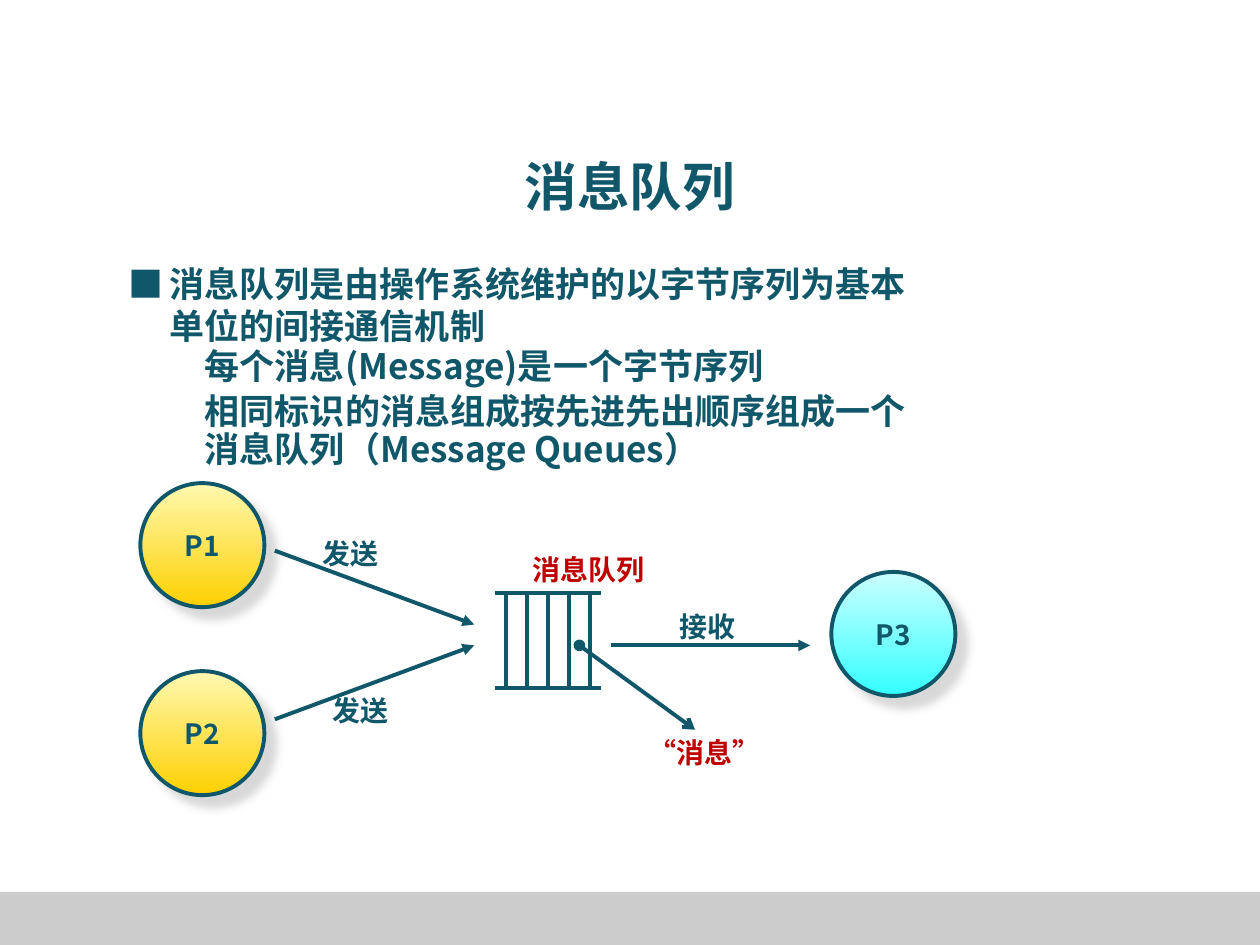
from lxml import etree
from pptx import Presentation
from pptx.dml.color import RGBColor
from pptx.enum.shapes import MSO_CONNECTOR, MSO_SHAPE
from pptx.enum.text import MSO_ANCHOR as ANCHOR, PP_ALIGN as ALIGN
from pptx.oxml import parse_xml
from pptx.oxml.ns import nsdecls, qn
from pptx.util import Cm, Pt

FONT = "Noto Sans CJK SC"
TEAL, RED, GREY = "11576A", "C00000", "CCCCCC"
YELLOW, CYAN = ("FFF9B1", "FDD000"), ("CCFFFF", "33FFFF")


def rgb(value):
    return RGBColor.from_string(value)


def set_format(obj, values):
    for name, value in values.items():
        setattr(obj, name, value)


def write(sp, text, size, color=TEAL, font=FONT, frame=None, para=None):
    """Put one formatted paragraph into a shape."""
    tf = sp.text_frame
    set_format(tf, {"word_wrap": True, **(frame or {})})
    p = tf.paragraphs[0]
    set_format(p, para or {})
    r = p.add_run()
    r.text = text
    set_format(r.font, {"size": Pt(size), "bold": True, "name": font})
    r.font.color.rgb = rgb(color)
    ea = etree.SubElement(r.font._element, qn("a:ea"))
    ea.set("typeface", font)


def add_text(slide, box, text, size, **fmt):
    write(slide.shapes.add_textbox(*map(Cm, box)), text, size, **fmt)


def add_label(slide, x, y, w, text, color=TEAL):
    add_text(slide, (x, y, w, 0.94), text, 16, color=color,
             frame={"word_wrap": False}, para={"alignment": ALIGN.RIGHT})


def add_line(slide, x1, y1, x2, y2, head=None, tail=None):
    c = slide.shapes.add_connector(MSO_CONNECTOR.STRAIGHT, *map(Cm, (x1, y1, x2, y2)))
    c.line.color.rgb = rgb(TEAL)
    c.line.width = Pt(2.25)
    ln = c.line._get_or_add_ln()
    for tag, kind in (("a:headEnd", head), ("a:tailEnd", tail)):
        if kind:
            etree.SubElement(ln, qn(tag)).set("type", kind)
    etree.SubElement(c._element.spPr, qn("a:effectLst"))


def add_process(slide, x, y, name, colors):
    """Circle with a vertical gradient and a soft shadow."""
    sp = slide.shapes.add_shape(MSO_SHAPE.OVAL, Cm(x), Cm(y), Cm(2.5), Cm(2.5))
    sp.fill.gradient()
    sp.fill.gradient_angle = 270
    for stop, color in zip(sp.fill.gradient_stops, colors):
        stop.color.rgb = rgb(color)
    sp.line.color.rgb = rgb(TEAL)
    sp.line.width = Pt(2.25)
    sp._element.spPr.append(parse_xml(
        f'<a:effectLst {nsdecls("a")}><a:outerShdw blurRad="{Pt(5)}" dist="{Pt(8.5)}" '
        f'dir="2700000"><a:srgbClr val="{GREY}"><a:alpha val="75000"/></a:srgbClr>'
        '</a:outerShdw></a:effectLst>'))
    write(sp, name, 16, frame={"word_wrap": False, "vertical_anchor": ANCHOR.MIDDLE},
          para={"alignment": ALIGN.CENTER})


def add_queue(slide, left, right, top, bottom, bars):
    """Evenly spaced bars; overlapping rail pieces join each bar to the next."""
    step = (right - left) / bars
    for i in range(bars):
        x = left + step * i
        add_line(slide, x + step / 2, top, x + step / 2, bottom)
        if i < bars - 1:
            for y in (top, bottom):
                add_line(slide, x, y, x + 2 * step, y)


def add_title(slide, text):
    sp = slide.shapes.title
    set_format(sp, {"left": Cm(1.27), "top": Cm(3.02), "width": Cm(22.86), "height": Cm(1.42)})
    write(sp, text, 30, frame={"vertical_anchor": ANCHOR.MIDDLE},
          para={"alignment": ALIGN.CENTER})


def main():
    prs = Presentation()
    prs.slide_width, prs.slide_height = Cm(25.4), Cm(19.05)
    slide = prs.slides.add_slide(prs.slide_layouts[5])

    # Footer band and title
    band = slide.shapes.add_shape(MSO_SHAPE.RECTANGLE, 0, Cm(17.98), Cm(25.4), Cm(1.07))
    band.shadow.inherit = False
    band.fill.solid()
    band.fill.fore_color.rgb = rgb(GREY)
    band.line.fill.background()
    add_title(slide, "消息队列")

    # Definition with its two sub-points
    add_text(slide, (2.34, 5.16, 1.2, 1.12), "■", 20, font="Noto Sans CJK JP",
             para={"space_before": Pt(4)})
    add_text(slide, (3.17, 5.16, 15.67, 1.78),
             "消息队列是由操作系统维护的以字节序列为基本单位的间接通信机制", 20,
             para={"space_before": Pt(4)})
    for y, w, h, text in (
            (6.91, 12.4, 0.89, "每个消息(Message)是一个字节序列"),
            (7.82, 14.78, 2.08, "相同标识的消息组成按先进先出顺序组成一个消息队列（Message Queues）")):
        add_text(slide, (3.88, y, w, h), text, 20, para={"line_spacing": 0.9})

    # Processes and the queue
    for x, y, name, colors in ((2.83, 9.74, "P1", YELLOW), (2.83, 13.53, "P2", YELLOW),
                               (16.76, 11.53, "P3", CYAN)):
        add_process(slide, x, y, name, colors)
    add_queue(slide, 9.98, 12.11, 11.95, 13.86, 5)

    # Message flow
    for ends in ((5.54, 11.1, 9.56, 12.59), (5.54, 14.5, 9.56, 13.01),
                 (12.32, 13.01, 16.33, 13.01)):
        add_line(slide, *ends, tail="triangle")
    add_line(slide, 11.68, 13.01, 14.01, 14.71, head="oval", tail="arrow")

    # Labels
    for x, y, text in ((6.23, 10.69, "发送"), (6.43, 13.86, "发送"), (13.42, 12.17, "接收")):
        add_label(slide, x, y, 1.65, text)
    for x, y, text in ((12.79, 14.71, "“消息”"), (10.45, 11.02, "消息队列")):
        add_label(slide, x, y, 2.79, text, color=RED)

    prs.save("out.pptx")


if __name__ == "__main__":
    main()
